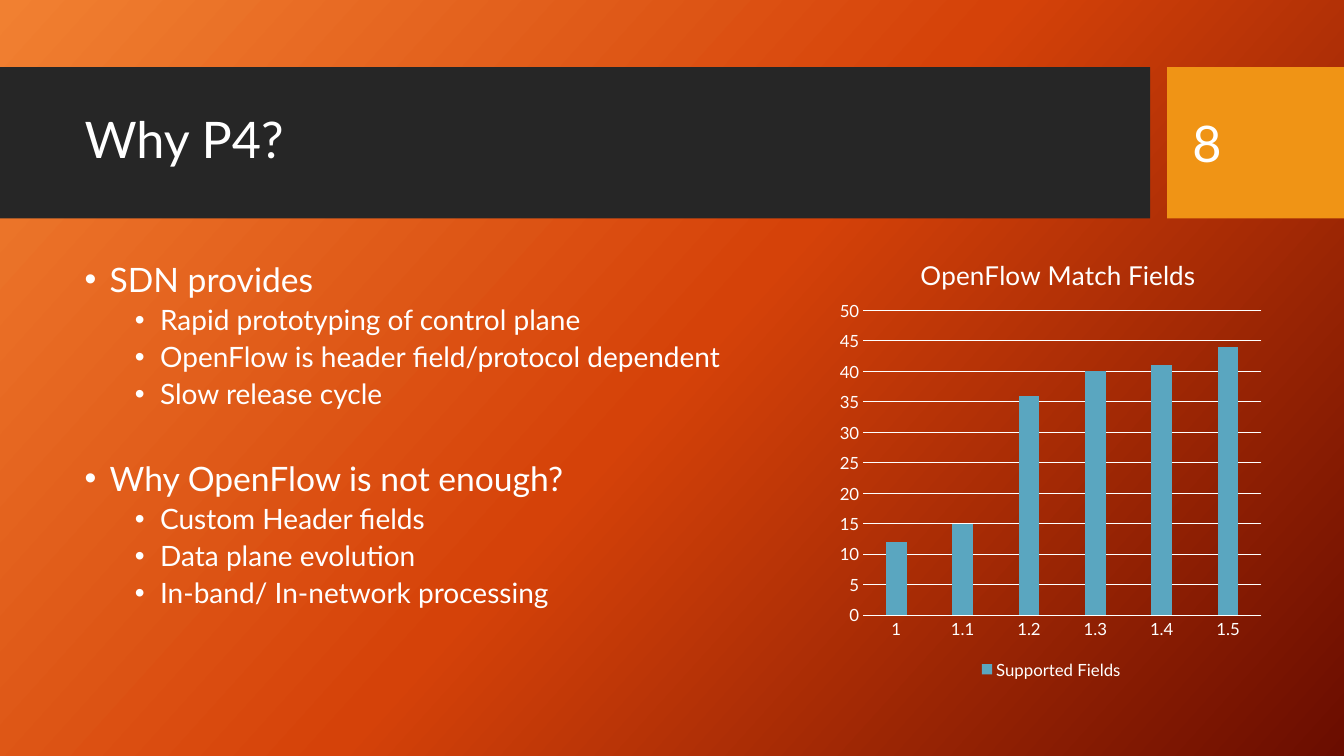
from dataclasses import dataclass

from lxml import etree
from pptx import Presentation
from pptx.chart.data import CategoryChartData
from pptx.dml.color import RGBColor
from pptx.enum.chart import XL_CHART_TYPE, XL_LEGEND_POSITION, XL_TICK_MARK
from pptx.enum.shapes import MSO_SHAPE
from pptx.enum.text import MSO_ANCHOR
from pptx.oxml.ns import qn
from pptx.util import Pt

RECTANGLE = MSO_SHAPE.RECTANGLE
COLUMN = XL_CHART_TYPE.COLUMN_CLUSTERED
LEGEND_BOTTOM = XL_LEGEND_POSITION.BOTTOM
NO_TICK = XL_TICK_MARK.NONE
TOP = MSO_ANCHOR.TOP
MIDDLE = MSO_ANCHOR.MIDDLE

FONT = "Lato"
WHITE = RGBColor(0xFF, 0xFF, 0xFF)
CHARCOAL = RGBColor(0x26, 0x26, 0x26)
AMBER = RGBColor(0xF0, 0x94, 0x15)
COLUMN_BLUE = RGBColor(0x5A, 0xA6, 0xC0)
ORANGE = RGBColor(0xF1, 0x80, 0x31)
RUST = RGBColor(0xD5, 0x42, 0x09)
MAROON = RGBColor(0x6A, 0x0D, 0x00)


@dataclass(frozen=True)
class Box:
    left: float
    top: float
    width: float
    height: float

    def lengths(self) -> tuple:
        return Pt(self.left), Pt(self.top), Pt(self.width), Pt(self.height)


@dataclass(frozen=True)
class Band:
    box: Box
    color: RGBColor


@dataclass(frozen=True)
class Line:
    text: str
    size: float
    spacing: float = 1.0
    before: float = 0
    indent: float = 0
    bullet: bool = False


@dataclass(frozen=True)
class TextBlock:
    box: Box
    anchor: MSO_ANCHOR
    lines: tuple


def topic(text: str, before: float = 10) -> Line:
    return Line(text, 24, 0.9, before, 18, True)


def detail(text: str) -> Line:
    return Line(text, 20, 0.9, 5, 54, True)


BANDS = (
    Band(Box(0, 48, 821.5, 108), CHARCOAL),
    Band(Box(833.75, 48, 126.25, 108), AMBER),
)
TEXT_BLOCKS = (
    TextBlock(Box(53.3, 59, 756.7, 85), MIDDLE, (Line("Why P4?", 36, 0.9),)),
    TextBlock(Box(53.3, 184.3, 541.4, 283.7), TOP, (
        topic("SDN provides"),
        detail("Rapid prototyping of control plane"),
        detail("OpenFlow is header field/protocol dependent"),
        detail("Slow release cycle"),
        topic("Why OpenFlow is not enough?", 36.5),
        detail("Custom Header fields"),
        detail("Data plane evolution"),
        detail("In-band/ In-network processing"),
    )),
    TextBlock(Box(844.6, 59, 90.7, 85.7), MIDDLE, (Line("8", 36),)),
)
CHART_BOX = Box(594.7, 163.4, 312.5, 324.7)
MATCH_FIELDS = {"1": 12, "1.1": 15, "1.2": 36, "1.3": 40, "1.4": 41, "1.5": 44}
BACKGROUND_STOPS = ((0, ORANGE), (0.5, RUST), (1, MAROON))


def style_font(font, size: float) -> None:
    font.name = FONT
    font.size = Pt(size)
    font.bold = False
    font.color.rgb = WHITE


def paint_background(s) -> None:
    fill = s.background.fill
    fill.gradient()
    fill.gradient_angle = 318
    stops = s.element.find(".//" + qn("a:gsLst"))
    for stop in list(stops):
        stops.remove(stop)
    for position, color in BACKGROUND_STOPS:
        stop = etree.SubElement(stops, qn("a:gs"), pos=str(int(position * 100000)))
        etree.SubElement(stop, qn("a:srgbClr"), val=str(color))


def add_band(s, band: Band) -> None:
    sp = s.shapes.add_shape(RECTANGLE, *band.box.lengths())
    sp.shadow.inherit = False
    sp.fill.solid()
    sp.fill.fore_color.rgb = band.color
    sp.line.fill.background()


def add_text(s, block: TextBlock) -> None:
    tf = s.shapes.add_textbox(*block.box.lengths()).text_frame
    tf.word_wrap = True
    tf.vertical_anchor = block.anchor
    for i, line in enumerate(block.lines):
        p = tf.add_paragraph() if i else tf.paragraphs[0]
        p.text = line.text
        p.line_spacing = line.spacing
        p.space_before = Pt(line.before)
        style_font(p.runs[0].font, line.size)
        if line.bullet:
            props = p._p.get_or_add_pPr()
            props.set("marL", str(Pt(line.indent)))
            props.set("indent", str(-Pt(18)))
            etree.SubElement(props, qn("a:buFont"), typeface="Arial")
            etree.SubElement(props, qn("a:buChar"), char="•")


def set_layout(parent, index: int, inner: bool, **fractions: float) -> None:
    for old in parent.findall(qn("c:layout")):
        parent.remove(old)
    layout = etree.Element(qn("c:layout"))
    manual = etree.SubElement(layout, qn("c:manualLayout"))
    if inner:
        etree.SubElement(manual, qn("c:layoutTarget"), val="inner")
    for mode in ("xMode", "yMode"):
        etree.SubElement(manual, qn("c:" + mode), val="edge")
    for name, value in fractions.items():
        etree.SubElement(manual, qn("c:" + name), val=str(value))
    parent.insert(index, layout)


def add_match_chart(s) -> None:
    data = CategoryChartData()
    data.categories = list(MATCH_FIELDS)
    data.add_series("Supported Fields", list(MATCH_FIELDS.values()))
    chart = s.shapes.add_chart(COLUMN, *CHART_BOX.lengths(), data).chart
    style_font(chart.font, 10)

    title = chart.chart_title
    title.text_frame.text = "OpenFlow Match Fields"
    style_font(title.text_frame.paragraphs[0].runs[0].font, 18.6)
    set_layout(title.element, 1, False, x=0.19, y=0.05)
    set_layout(chart.element.find(".//" + qn("c:plotArea")), 0, True,
               x=0.07, y=0.18, w=0.91, h=0.67)

    chart.has_legend = True
    chart.legend.position = LEGEND_BOTTOM
    chart.legend.include_in_layout = False
    style_font(chart.legend.font, 12)

    for axis in (chart.category_axis, chart.value_axis):
        axis.major_tick_mark = NO_TICK
        axis.minor_tick_mark = NO_TICK
        style_font(axis.tick_labels.font, 12)
    value_axis = chart.value_axis
    value_axis.minimum_scale = 0
    value_axis.maximum_scale = 50
    value_axis.major_unit = 5
    value_axis.format.line.fill.background()
    for ruled in (chart.category_axis, value_axis.major_gridlines):
        ruled.format.line.color.rgb = WHITE
        ruled.format.line.width = Pt(0.75)

    plot = chart.plots[0]
    plot.vary_by_categories = False
    plot.gap_width = 219
    plot.overlap = -27
    fill = plot.series[0].format.fill
    fill.solid()
    fill.fore_color.rgb = COLUMN_BLUE


def main() -> None:
    prs = Presentation()
    prs.slide_width, prs.slide_height = Pt(960), Pt(540)
    s = prs.slides.add_slide(prs.slide_layouts[6])
    paint_background(s)
    for band in BANDS:
        add_band(s, band)
    for block in TEXT_BLOCKS:
        add_text(s, block)
    add_match_chart(s)
    prs.save("out.pptx")


if __name__ == "__main__":
    main()
